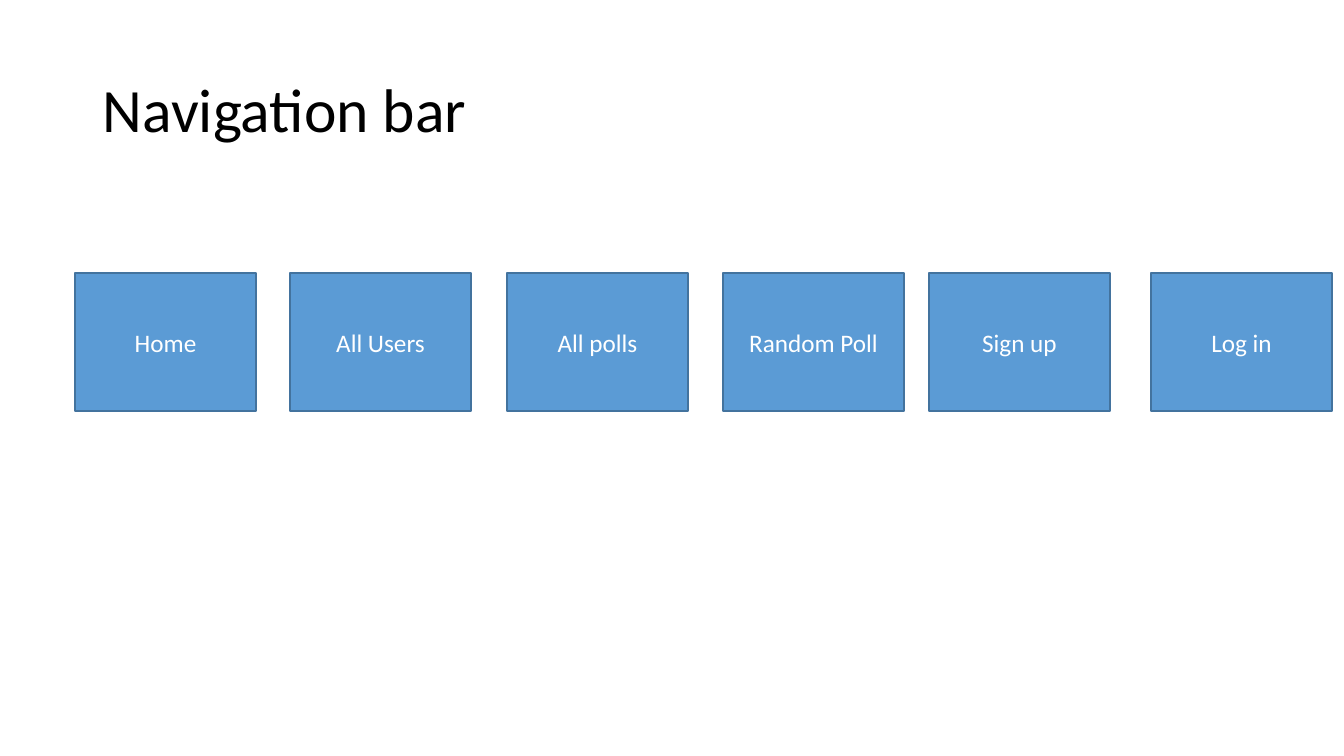
from pptx import Presentation
from pptx.dml.color import RGBColor
from pptx.enum.shapes import MSO_SHAPE
from pptx.enum.text import MSO_ANCHOR, PP_ALIGN
from pptx.util import Emu, Pt

RECTANGLE = MSO_SHAPE.RECTANGLE
MIDDLE = MSO_ANCHOR.MIDDLE
LEFT = PP_ALIGN.LEFT
CENTER = PP_ALIGN.CENTER

BLACK = RGBColor(0x00, 0x00, 0x00)
WHITE = RGBColor(0xFF, 0xFF, 0xFF)
BLUE = RGBColor(0x5B, 0x9B, 0xD5)
DARK_BLUE = RGBColor(0x43, 0x73, 0x9E)

BUTTON_TOP = 273
BUTTON_WIDTH = 181
BUTTON_HEIGHT = 138
BUTTONS = [
    ("Home", 75),
    ("All Users", 290),
    ("All polls", 507),
    ("Random Poll", 723),
    ("Sign up", 929),
    ("Log in", 1151),
]


def px(length):
    return Emu(round(length * 914400 / 100.8))


def write_text(shape, text, size, color, alignment):
    frame = shape.text_frame
    frame.word_wrap = True
    frame.vertical_anchor = MIDDLE
    paragraph = frame.paragraphs[0]
    paragraph.alignment = alignment
    run = paragraph.add_run()
    run.text = text
    run.font.name = "Calibri"
    run.font.size = Pt(size)
    run.font.color.rgb = color
    return paragraph


presentation = Presentation()
presentation.slide_width = px(1344)
presentation.slide_height = px(756)
slide = presentation.slides.add_slide(presentation.slide_layouts[6])

title = slide.shapes.add_textbox(px(93), px(40), px(1159), px(146))
title_paragraph = write_text(title, "Navigation bar", 44, BLACK, LEFT)
title_paragraph.line_spacing = 0.9

for label, left in BUTTONS:
    button = slide.shapes.add_shape(
        RECTANGLE, px(left), px(BUTTON_TOP), px(BUTTON_WIDTH), px(BUTTON_HEIGHT)
    )
    button.shadow.inherit = False
    button.fill.solid()
    button.fill.fore_color.rgb = BLUE
    button.line.color.rgb = DARK_BLUE
    button.line.width = Pt(1)
    write_text(button, label, 18, WHITE, CENTER)

presentation.save("out.pptx")
